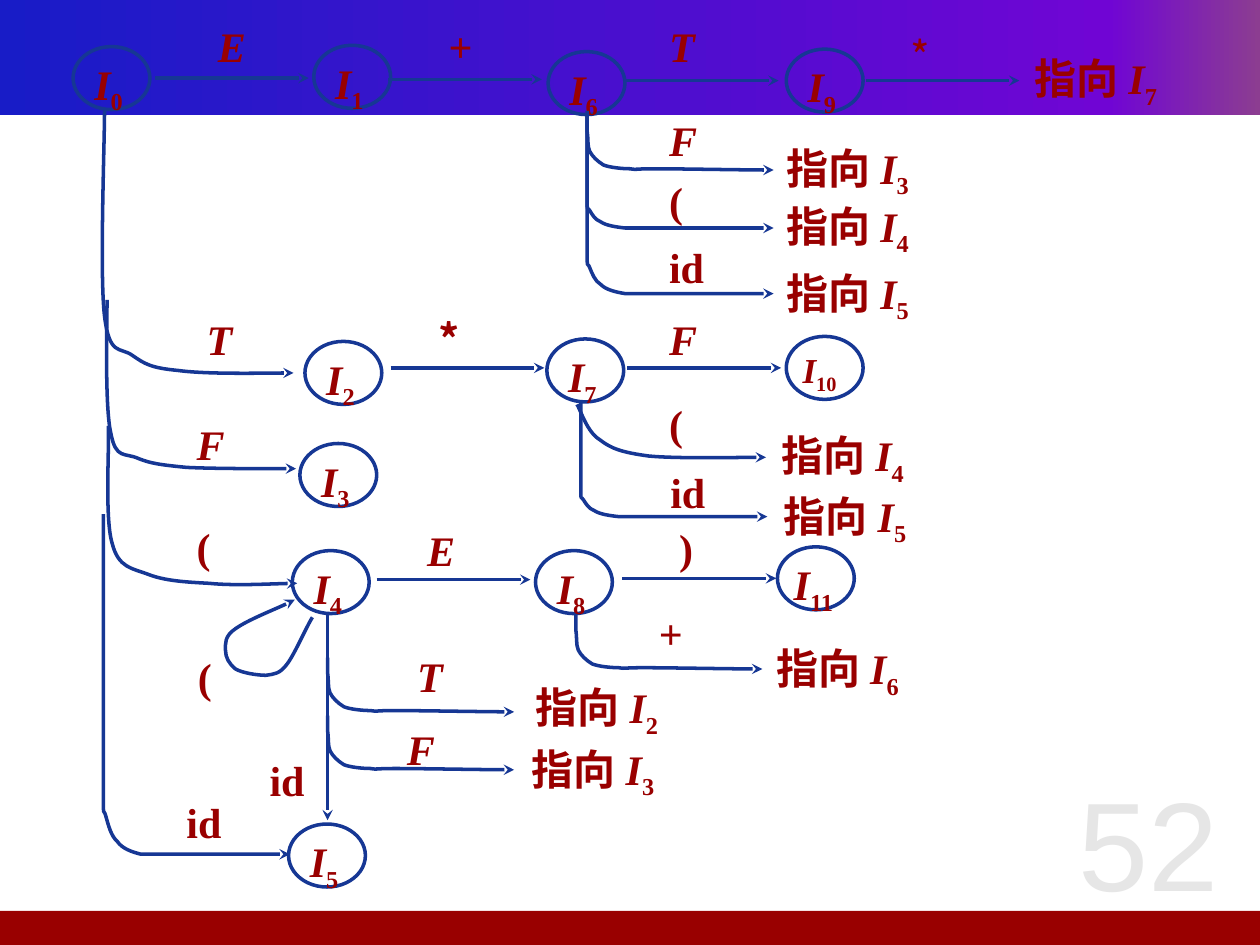
from lxml import etree
from pptx import Presentation, util as u
from pptx.dml import color
from pptx.enum import shapes, text
from pptx.oxml import ns

BLUE, RED, GREY = "163794", "990000", "E6E6E6"
SERIF, SANS, CJK = "Times New Roman", "Arial", "Noto Sans CJK SC"


def hue(code):
    return color.RGBColor.from_string(code)


class Board:
    def __init__(self, slide):
        self.slide = slide
        self.items = slide.shapes
        self.size = 24

    def bar(self, x, y, w, h, stops):
        bar = self.items.add_shape(shapes.MSO_SHAPE.RECTANGLE, *map(u.Inches, (x, y, w, h)))
        bar.shadow.inherit = False
        bar.line.fill.background()
        if len(stops) == 1:
            bar.fill.solid()
            bar.fill.fore_color.rgb = hue(stops[0][1])
            return
        bar.fill.gradient()
        bar.fill.gradient_angle = 0
        group = bar._element.spPr.find(".//" + ns.qn("a:gsLst"))
        while len(group) < len(stops):
            extra = etree.SubElement(group, ns.qn("a:gs"))
            etree.SubElement(extra, ns.qn("a:srgbClr"), val=BLUE)
        for stop, (place, code) in zip(bar.fill.gradient_stops, stops):
            stop.position = place
            stop.color.rgb = hue(code)

    def stroke(self, item, head=True):
        item.line.color.rgb = hue(BLUE)
        item.line.width = u.Pt(2)
        if head:
            edge = item._element.spPr.find(ns.qn("a:ln"))
            etree.SubElement(edge, ns.qn("a:tailEnd"), type="stealth")

    def put(self, item, runs, pads, align):
        frame = item.text_frame
        frame.word_wrap = True
        frame.vertical_anchor = text.MSO_ANCHOR.TOP
        (frame.margin_left, frame.margin_top,
         frame.margin_right, frame.margin_bottom) = map(u.Inches, pads)
        para = frame.paragraphs[0]
        para.alignment = align
        for words, style in runs:
            run = para.add_run()
            run.text = words
            font = run.font
            font.name = style.get("name", SERIF)
            font.size = u.Pt(style.get("size", self.size))
            font.bold = style.get("bold", True)
            font.italic = style.get("slant", False)
            font.color.rgb = hue(style.get("tint", RED))
            if style.get("sub"):
                font._element.set("baseline", "-25000")

    def state(self, num, size=24):
        return [("I", {"slant": True, "size": size}), (num, {"sub": True, "size": size})]

    def node(self, num, x, y, size=24):
        oval = self.items.add_shape(shapes.MSO_SHAPE.OVAL, *map(u.Inches, (x, y, 0.61, 0.5)))
        oval.shadow.inherit = False
        oval.fill.background()
        self.stroke(oval, False)
        left = 0.04 if len(num) > 1 else 0.08
        self.put(oval, self.state(num, size), (left, 0.02, 0.02, 0.05), text.PP_ALIGN.LEFT)

    def box(self, runs, x, y, w, h, top=0.03, align=text.PP_ALIGN.JUSTIFY):
        box = self.items.add_textbox(*map(u.Inches, (x, y, w, h)))
        self.put(box, runs, (0.06, top, 0.06, 0.03), align)

    def label(self, words, x, y, top=0.03, bold=True):
        style = {"slant": words in "ETF", "bold": bold, "name": CJK if words == "*" else SERIF}
        self.box([(words, style)], x, y, 0.51, 0.4, top)

    def goto(self, num, x, y):
        self.box([("指向", {})] + self.state(num), x, y, 1.18, 0.47)

    def arrow(self, x, y, dx=1.22, dy=0):
        line = self.items.add_connector(
            shapes.MSO_CONNECTOR.STRAIGHT, *map(u.Inches, (x, y, x + dx, y + dy)))
        self.stroke(line)
        etree.SubElement(line._element.spPr, ns.qn("a:effectLst"))

    def curve(self, points):
        spots = [(u.Inches(x), u.Inches(y)) for x, y in points]
        pen = self.items.build_freeform(*spots[0], scale=1.0)
        pen.add_line_segments(spots[1:], close=False)
        item = pen.convert_to_shape()
        item.shadow.inherit = False
        item.fill.background()
        self.stroke(item)
        track = item._element.spPr.find(".//" + ns.qn("a:path"))
        legs = track.findall(ns.qn("a:lnTo"))
        for i in range(0, len(legs), 3):
            bend = etree.SubElement(track, ns.qn("a:cubicBezTo"))
            for leg in legs[i:i + 3]:
                bend.append(leg[0])
                track.remove(leg)

    def drop(self, x, y):
        self.curve([(x + dx, y + dy) for dx, dy in DROP])

    def hook(self, x, y, high, turn):
        stem = [(x, y), (x, y + 0.12 * high), (x, y + 0.6 * high), (x, y + high - turn)]
        self.curve(stem + [(x + dx, y + high - up * turn) for dx, up in HOOK])


DROP = [(0, 0), (0, 0.02), (0, 0.07), (0, 0.12), (0.01, 0.17), (0, 0.24), (0.02, 0.28),
        (0.04, 0.32), (0.08, 0.36), (0.13, 0.39), (0.18, 0.41), (0.28, 0.42), (0.34, 0.42),
        (0.41, 0.43), (0.35, 0.42), (0.54, 0.42), (0.72, 0.42), (1.28, 0.43), (1.48, 0.43)]
HOOK = [(0, 0.46), (0, 0.7), (0.02, 0.56), (0.04, 0.43), (0.06, 0.27), (0.11, 0.19),
        (0.15, 0.08), (0.23, 0.03), (0.3, 0), (0.37, 0), (0.34, 0), (0.54, 0),
        (0.73, 0), (1.28, 0), (1.48, 0)]
NODES = [("0", 0.58, 0.37), ("1", 2.49, 0.36), ("6", 4.35, 0.41), ("9", 6.24, 0.39),
         ("2", 2.42, 2.71), ("7", 4.34, 2.69), ("10", 6.24, 2.67, 20), ("3", 2.38, 3.52),
         ("4", 2.32, 4.37), ("8", 4.25, 4.37), ("11", 6.17, 4.34), ("5", 2.29, 6.54)]
ARROWS = [(1.23, 0.62), (3.08, 0.63), (4.96, 0.64), (6.87, 0.64), (3.1, 2.92),
          (4.98, 2.92), (2.99, 4.6), (4.94, 4.59), (2.6, 4.88, 0, 1.63)]
DROPS = [(4.66, 0.92), (4.57, 4.88), (2.6, 5.22), (2.6, 5.68)]
HOOKS = [(4.66, 0.92, 1.41, 0.37), (4.66, 0.88, 0.93, 0.25),
         (4.61, 3.18, 0.92, 0.24), (0.82, 4.08, 2.7, 0.54)]
CURVES = [
    [(2.48, 4.9), (2.44, 4.96), (2.34, 5.19), (2.28, 5.27), (2.22, 5.35), (2.18, 5.35),
     (2.11, 5.36), (2.04, 5.36), (1.92, 5.34), (1.87, 5.31), (1.82, 5.27), (1.79, 5.22),
     (1.79, 5.16), (1.79, 5.11), (1.78, 5.05), (1.87, 4.99), (1.97, 4.92), (2.25, 4.81),
     (2.34, 4.76)],
    [(0.83, 0.88), (0.83, 1.15), (0.79, 2.18), (0.83, 2.51), (0.87, 2.83), (0.95, 2.75),
     (1.05, 2.82), (1.15, 2.89), (1.2, 2.92), (1.41, 2.94), (1.63, 2.97), (2.14, 2.96),
     (2.33, 2.96)],
    [(0.85, 2.38), (0.85, 2.55), (0.83, 3.23), (0.88, 3.44), (0.92, 3.65), (0.99, 3.59),
     (1.1, 3.64), (1.2, 3.68), (1.28, 3.69), (1.48, 3.71), (1.69, 3.72), (2.17, 3.72),
     (2.35, 3.72)],
    [(0.86, 3.38), (0.87, 3.53), (0.83, 4.11), (0.89, 4.31), (0.94, 4.51), (1.05, 4.51),
     (1.18, 4.56), (1.31, 4.61), (1.47, 4.62), (1.66, 4.63), (1.86, 4.65), (2.22, 4.63),
     (2.36, 4.63)],
    [(4.58, 3.21), (4.61, 3.26), (4.66, 3.43), (4.76, 3.49), (4.85, 3.56), (4.93, 3.59),
     (5.15, 3.62), (5.37, 3.64), (5.89, 3.63), (6.08, 3.63)]]
GOTOS = [("7", 8.15, 0.39), ("3", 6.18, 1.1), ("4", 6.18, 1.56), ("5", 6.18, 2.09),
         ("4", 6.14, 3.38), ("5", 6.16, 3.86), ("6", 6.1, 5.07), ("2", 4.19, 5.38),
         ("3", 4.16, 5.87)]
LABELS = [("E", 1.67, 0.13), ("+", 3.5, 0.13), ("T", 5.25, 0.13), ("*", 7.17, 0.21, 0.03, False),
          ("F", 5.25, 0.88), ("(", 5.25, 1.38, 0.01), ("id", 5.25, 1.89), ("T", 1.58, 2.46),
          ("*", 3.42, 2.46), ("F", 5.25, 2.46), ("(", 5.25, 3.13), ("id", 5.26, 3.69, 0.01),
          ("F", 1.5, 3.29), ("(", 1.5, 4.13, 0.01), ("E", 3.33, 4.13), (")", 5.33, 4.14, 0.01),
          ("+", 5.17, 4.79), ("(", 1.51, 5.16, 0.01), ("T", 3.25, 5.13), ("F", 3.17, 5.71),
          ("id", 2.08, 5.96), ("id", 1.42, 6.29)]


def main():
    deck = Presentation()
    deck.slide_width, deck.slide_height = u.Inches(10), u.Inches(7.5)
    board = Board(deck.slides.add_slide(deck.slide_layouts[6]))
    board.bar(0, 0, 10, 0.91, [(0, "181CC7"), (0.88, "7005D4"), (1, "8C3D91")])
    board.bar(-0.04, 7.23, 10.04, 0.27, [(0, RED)])
    page = {"name": SANS, "size": 72, "bold": False, "tint": GREY}
    board.box([("52", page)], 8.23, 6.03, 1.77, 1.42, 0.05, text.PP_ALIGN.CENTER)
    for draw, rows in [(board.node, NODES), (board.arrow, ARROWS), (board.drop, DROPS),
                       (board.hook, HOOKS), (board.goto, GOTOS), (board.label, LABELS)]:
        for row in rows:
            draw(*row)
    for points in CURVES:
        board.curve(points)
    deck.save("out.pptx")


if __name__ == "__main__":
    main()
